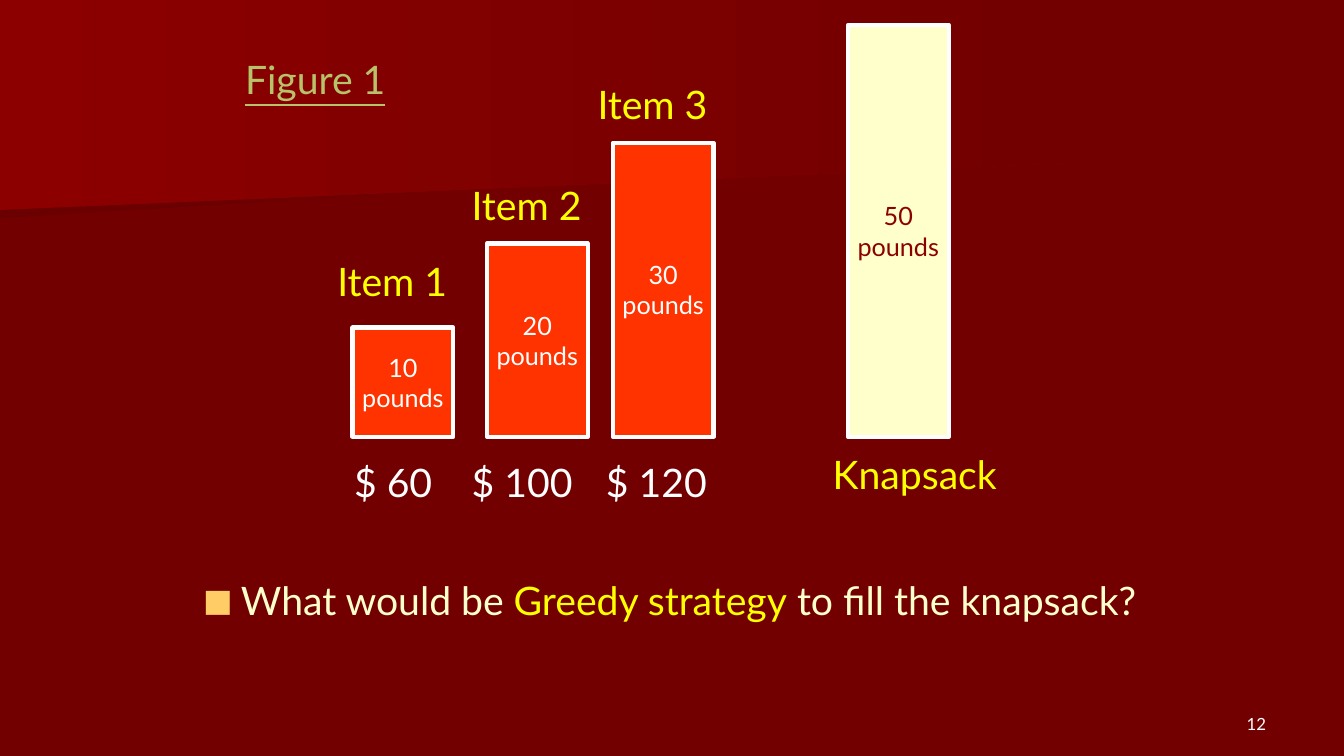
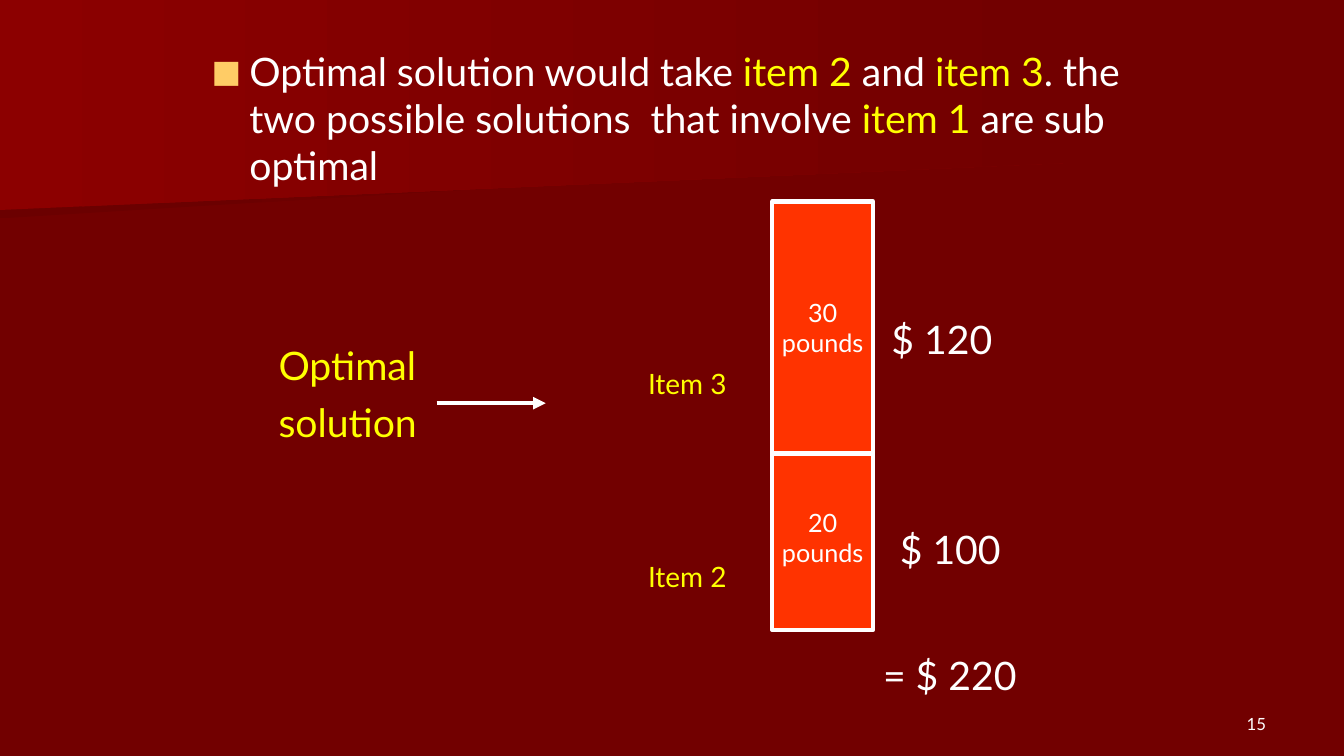
"""Build two knapsack slides: the items with their weights, and the optimal filling."""
from lxml import etree
from pptx import Presentation
from pptx.dml.color import RGBColor
from pptx.enum.shapes import MSO_CONNECTOR, MSO_SHAPE
from pptx.enum.text import MSO_ANCHOR, MSO_AUTO_SIZE, PP_ALIGN
from pptx.oxml.ns import qn
from pptx.util import Pt

RECTANGLE = MSO_SHAPE.RECTANGLE
STRAIGHT = MSO_CONNECTOR.STRAIGHT
MIDDLE, BOTTOM, TOP = MSO_ANCHOR.MIDDLE, MSO_ANCHOR.BOTTOM, MSO_ANCHOR.TOP
LEFT, CENTER, RIGHT = PP_ALIGN.LEFT, PP_ALIGN.CENTER, PP_ALIGN.RIGHT
NO_FIT = MSO_AUTO_SIZE.NONE

FONT = "Lato"
COLORS = {
    "back": "720000", "shade": "6B0000", "glow": "8C0000", "white": "FFFFFF",
    "cream": "FFFFCC", "yellow": "FFFF00", "orange": "FF3300",
    "bullet": "FFCC66", "link": "B8C26A",
}
BANDS = [
    ("shade", [(746.5, 110), (0, 156), (0, 72.5), (748, 72.5), (746.5, 92)]),
    ("glow", [(760, 116.5), (0, 150), (0, 0), (760, 0)]),
]
BAR_WIDTH = 72
LABEL_HEIGHT = 42
LABEL_SHIFT = 18

QUESTION = [("What would be ", "cream"), ("Greedy strategy", "yellow"),
            (" to fill the knapsack?", "cream")]
ANSWER = [("Optimal solution would take ", "white"), ("item 2", "yellow"),
          (" and ", "white"), ("item 3", "yellow"),
          (". the two possible solutions  that involve ", "white"),
          ("item 1", "yellow"), (" are sub optimal", "white")]

BASELINE = 312
PRICE_TOP = 324
ITEMS = [
    {"name": "Item 1", "weight": 10, "left": 252, "height": 78, "gap": 54,
     "price": "$ 60", "price_left": 246},
    {"name": "Item 2", "weight": 20, "left": 348, "height": 138, "gap": 48,
     "price": "$ 100", "price_left": 330},
    {"name": "Item 3", "weight": 30, "left": 438, "height": 210, "gap": 48,
     "price": "$ 120", "price_left": 426},
]
KNAPSACK = {"name": "Knapsack", "weight": 50, "left": 606, "height": 294, "label_top": 318}

STACK_LEFT = 552
STACK = [
    {"name": "Item 2", "weight": 20, "top": 318, "height": 132, "label_top": 396,
     "price": "$ 100", "price_at": (636, 372)},
    {"name": "Item 3", "weight": 30, "top": 144, "height": 180, "label_top": 258,
     "price": "$ 120", "price_at": (630, 222)},
]


def color(name):
    return RGBColor.from_string(COLORS[name])


def style_runs(para, size, name):
    for span in para.runs:
        span.font.name = FONT
        span.font.size = Pt(size)
        span.font.color.rgb = color(name)


def write(frame, text, size, name, align=LEFT, anchor=TOP, before=0):
    frame.text = text
    frame.vertical_anchor = anchor
    for para in frame.paragraphs:
        para.alignment = align
        para.space_before = Pt(before)
        style_runs(para, size, name)


def add_label(page, text, left, top, width, name="white", size=28, height=LABEL_HEIGHT):
    box = page.shapes.add_textbox(Pt(left), Pt(top), Pt(width), Pt(height))
    box.text_frame.word_wrap = True
    write(box.text_frame, text, size, name, before=size / 4)
    return box


def add_bar(page, weight, left, top, height, fill="orange", ink="white"):
    bar = page.shapes.add_shape(RECTANGLE, Pt(left), Pt(top), Pt(BAR_WIDTH), Pt(height))
    bar.shadow.inherit = False
    bar.fill.solid()
    bar.fill.fore_color.rgb = color(fill)
    bar.line.color.rgb = color("white")
    bar.line.width = Pt(3)
    bar.text_frame.word_wrap = False
    write(bar.text_frame, f"{weight}\npounds", 18, ink, CENTER, MIDDLE)


def add_arrow(page, start, end):
    arrow = page.shapes.add_connector(STRAIGHT, *(Pt(value) for value in start + end))
    arrow.line.color.rgb = color("white")
    arrow.line.width = Pt(3)
    etree.SubElement(arrow.line._get_or_add_ln(), qn("a:tailEnd"), type="triangle")
    etree.SubElement(arrow.element.spPr, qn("a:effectLst"))


def add_bullet(para):
    props = para._p.get_or_add_pPr()
    tint = etree.SubElement(props, qn("a:buClr"))
    etree.SubElement(tint, qn("a:srgbClr"), val=COLORS["bullet"])
    etree.SubElement(props, qn("a:buSzPct"), val="80000")
    etree.SubElement(props, qn("a:buFont"), typeface=FONT)
    etree.SubElement(props, qn("a:buChar"), char="■")


def add_page(deck, number, spans, left, top, width, height):
    page = deck.slides.add_slide(deck.slide_layouts[1])
    title = page.shapes.title.element
    title.getparent().remove(title)
    body = page.placeholders[1]
    body.left, body.top, body.width, body.height = Pt(left), Pt(top), Pt(width), Pt(height)
    body.text_frame.auto_size = NO_FIT
    para = body.text_frame.paragraphs[0]
    para.space_before = Pt(7)
    add_bullet(para)
    for text, name in spans:
        span = para.add_run()
        span.text = text
        span.font.name = FONT
        span.font.size = Pt(28)
        span.font.color.rgb = color(name)
    box = page.shapes.add_textbox(Pt(688), Pt(492), Pt(224), Pt(36))
    box.text_frame.word_wrap = True
    write(box.text_frame, str(number), 12, "white", RIGHT, BOTTOM)
    return page


def dress_master(deck, page):
    master = deck.slide_master
    master.background.fill.solid()
    master.background.fill.fore_color.rgb = color("back")
    for index, (name, points) in enumerate(BANDS):
        corners = [(Pt(x), Pt(y)) for x, y in points]
        outline = page.shapes.build_freeform(*corners[0])
        outline.add_line_segments(corners[1:], close=True)
        band = outline.convert_to_shape()
        band.shadow.inherit = False
        band.line.fill.background()
        band.fill.gradient()
        band.fill.gradient_angle = 0
        for stop, tint in zip(band.fill.gradient_stops, (name, "back")):
            stop.color.rgb = color(tint)
        band.element.nvSpPr.cNvPr.set("id", str(101 + index))
        master.shapes.element.insert(2 + index, band.element)


def fill_items_page(page):
    for item in ITEMS:
        top = BASELINE - item["height"]
        add_bar(page, item["weight"], item["left"], top, item["height"])
        add_label(page, item["name"], item["left"] - LABEL_SHIFT, top - item["gap"],
                  102, "yellow")
        add_label(page, item["price"], item["price_left"], PRICE_TOP, 96)
    add_bar(page, KNAPSACK["weight"], KNAPSACK["left"], BASELINE - KNAPSACK["height"],
            KNAPSACK["height"], "cream", "glow")
    add_label(page, KNAPSACK["name"], KNAPSACK["left"] - LABEL_SHIFT,
              KNAPSACK["label_top"], 132, "yellow")
    figure = add_label(page, "Figure 1", 168, 36, 132, "link")
    figure.text_frame.paragraphs[0].runs[0].font.underline = True


def fill_solution_page(page):
    for item in STACK:
        add_bar(page, item["weight"], STACK_LEFT, item["top"], item["height"])
        add_label(page, item["name"], 456, item["label_top"], 90, "yellow", 20)
        add_label(page, item["price"], *item["price_at"], 96)
    add_label(page, "= $ 220", 624, 462, 126)
    add_label(page, "Optimal\nsolution", 192, 240, 114, "yellow", height=78)
    add_arrow(page, (312, 288), (390, 288))


def main():
    deck = Presentation()
    deck.slide_width, deck.slide_height = Pt(960.5), Pt(540)
    items_page = add_page(deck, 12, QUESTION, 138, 408, 684, 108)
    dress_master(deck, items_page)
    fill_items_page(items_page)
    fill_solution_page(add_page(deck, 15, ANSWER, 144, 30, 672, 120))
    deck.save("out.pptx")


if __name__ == "__main__":
    main()
